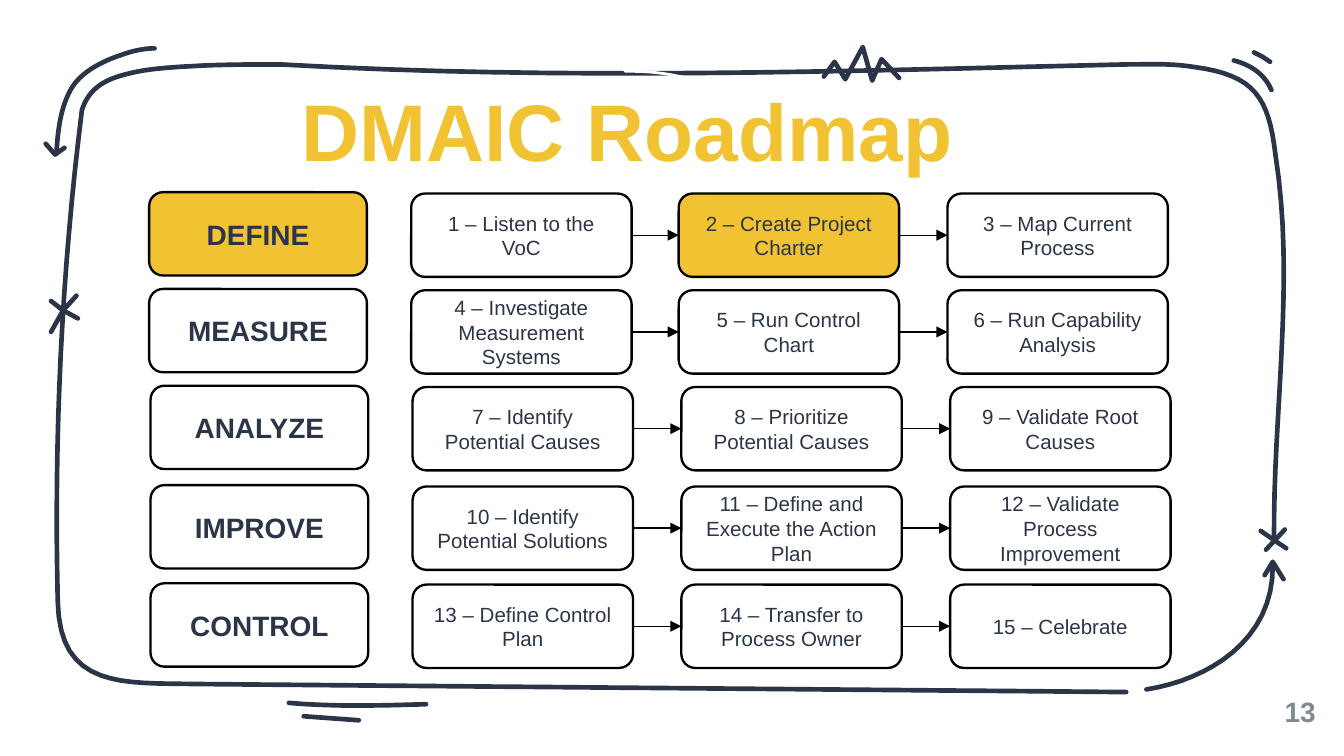
"""Build the DMAIC roadmap slide with its hand-drawn frame."""
from pptx import Presentation
from pptx.dml.color import RGBColor
from pptx.enum.shapes import MSO_CONNECTOR, MSO_SHAPE
from pptx.enum.text import MSO_ANCHOR, MSO_AUTO_SIZE, PP_ALIGN
from pptx.oxml.ns import qn
from pptx.oxml.xmlchemy import OxmlElement
from pptx.util import Pt

ROUNDED = MSO_SHAPE.ROUNDED_RECTANGLE
STRAIGHT = MSO_CONNECTOR.STRAIGHT
CENTER, RIGHT = PP_ALIGN.CENTER, PP_ALIGN.RIGHT
MIDDLE = MSO_ANCHOR.MIDDLE
NO_AUTOFIT = MSO_AUTO_SIZE.NONE

INK = RGBColor(0x2B, 0x35, 0x47)
GOLD = RGBColor(0xF1, 0xC2, 0x32)
GREY = RGBColor(0x7F, 0x8B, 0x91)
BLACK = RGBColor(0, 0, 0)
WHITE = RGBColor(0xFF, 0xFF, 0xFF)

FONT = "Arial"
PX = 9144
LEFT_SIDE, RIGHT_SIDE = 1, 3
STAGE_LEFT, STAGE_WIDTH = 111, 162
STEP_LEFTS = ((306, 505, 705), (307, 507, 707))
STEP_WIDTH, BOX_HEIGHT = 164, 62

ROADMAP = [
    (0, 144, "DEFINE", ["Listen to the VoC", "Create Project Charter", "Map Current Process"]),
    (0, 216, "MEASURE", ["Investigate Measurement Systems", "Run Control Chart",
                         "Run Capability Analysis"]),
    (1, 288, "ANALYZE", ["Identify Potential Causes", "Prioritize Potential Causes",
                         "Validate Root Causes"]),
    (1, 362, "IMPROVE", ["Identify Potential Solutions", "Define and Execute the Action Plan",
                         "Validate Process Improvement"]),
    (1, 435, "CONTROL", ["Define Control Plan", "Transfer to Process Owner", "Celebrate"]),
]
CURRENT_STAGE, CURRENT_STEP = "DEFINE", 2


def curve(*nodes, pieces=16):
    """Return points along a chain of cubic Bezier segments."""
    points = [nodes[0]]
    for first in range(0, len(nodes) - 1, 3):
        a, b, c, d = nodes[first:first + 4]
        for piece in range(1, pieces + 1):
            t = piece / pieces
            u = 1 - t
            points.append(tuple(
                u ** 3 * a[i] + 3 * u * u * t * b[i] + 3 * u * t * t * c[i] + t ** 3 * d[i]
                for i in (0, 1)))
    return points


FRAME = curve(
    (948, 402), (947, 307), (964, 210), (949, 115), (944, 73), (934, 56), (889, 50),
    (870, 47), (857, 48), (837, 48), (628, 53), (418, 60), (209, 48),
    (189, 48), (168, 48), (148, 49), (129, 50), (110, 51), (95, 55),
    (78, 59), (66, 66), (61, 82), (46, 201), (40, 325), (43, 447),
    (44, 513), (92, 508), (145, 509), (375, 511), (609, 513), (838, 515))
DOODLES = [
    [FRAME],
    [curve((215, 523), (249, 526), (283, 525), (317, 524))],
    [[(226, 533), (267, 536)]],
    [[(613, 57), (621, 46), (629, 59), (642, 35), (649, 60), (656, 44), (669, 58)]],
    [curve((946, 67), (941, 55), (930, 48), (918, 45))],
    [[(933, 39), (939, 42), (945, 46)]],
    [[(38, 224), (47, 231), (58, 237)], [(57, 220), (47, 231), (38, 247)]],
    [[(938, 395), (957, 408)], [(956, 394), (942, 409)]],
    [curve((853, 513), (898, 506), (948, 477), (947, 420)),
     [(941, 428), (947, 418), (955, 431)]],
    [curve((115, 36), (107, 36), (98, 38), (90, 41), (75, 46), (60, 54), (53, 66),
           (45, 80), (43, 97), (42, 114)),
     [(34, 107), (41, 115), (48, 110)]],
]
FRAME_GAP = [curve((465, 53), (480, 53), (495, 54), (510, 58))]


def write_text(frame, text, *, size, color=INK, bold=False, align=CENTER,
               margins=(0, 0), spacing=None):
    """Put one formatted paragraph in a text frame."""
    frame.word_wrap = True
    frame.auto_size = NO_AUTOFIT
    frame.vertical_anchor = MIDDLE
    frame.margin_left = frame.margin_right = margins[0] * PX
    frame.margin_top = frame.margin_bottom = margins[1] * PX
    paragraph = frame.paragraphs[0]
    paragraph.alignment = align
    if spacing:
        paragraph.line_spacing = spacing
    run = paragraph.add_run()
    run.text = text
    run.font.name = FONT
    run.font.size = Pt(size)
    run.font.bold = bold
    run.font.color.rgb = color


class Deck:
    """Hold the style and the current slide."""

    def __init__(self, width):
        """Start a 16:9 presentation with one title slide."""
        self.presentation = Presentation()
        self.presentation.slide_width = width * PX
        self.presentation.slide_height = width * PX * 9 // 16
        self.slide = self.presentation.slides.add_slide(self.presentation.slide_layouts[5])
        self.shapes = self.slide.shapes

    def title(self, text, left, top, width, height):
        """Move and fill the title placeholder."""
        heading = self.shapes.title
        heading.left, heading.top = left * PX, top * PX
        heading.width, heading.height = width * PX, height * PX
        write_text(heading.text_frame, text, size=43, color=GOLD, bold=True, spacing=0.9)

    def label(self, text, left, top, width, height, **style):
        """Add a text box."""
        box = self.shapes.add_textbox(left * PX, top * PX, width * PX, height * PX)
        write_text(box.text_frame, text, **style)

    def box(self, text, left, top, width, fill, **style):
        """Add a rounded box with centred text."""
        box = self.shapes.add_shape(ROUNDED, left * PX, top * PX, width * PX, BOX_HEIGHT * PX)
        box.shadow.inherit = False
        box.fill.solid()
        box.fill.fore_color.rgb = fill
        box.line.color.rgb = BLACK
        box.line.width = Pt(1.25)
        write_text(box.text_frame, text, margins=(10, 5), **style)
        return box

    def arrow(self, source, target):
        """Join two neighbouring boxes with an arrow."""
        link = self.shapes.add_connector(STRAIGHT, 0, 0, 0, 0)
        link.begin_connect(source, RIGHT_SIDE)
        link.end_connect(target, LEFT_SIDE)
        link.line.color.rgb = BLACK
        link.line.width = Pt(0.75)
        properties = link.element.spPr
        tip = OxmlElement("a:tailEnd")
        tip.set("type", "triangle")
        properties.find(qn("a:ln")).append(tip)
        properties.append(OxmlElement("a:effectLst"))

    def doodle(self, strokes, color=INK, weight=2.5):
        """Draw round-ended pen strokes as one freeform."""
        pen = None
        for stroke in strokes:
            start, *rest = [(x * PX, y * PX) for x, y in stroke]
            if pen is None:
                pen = self.shapes.build_freeform(*start)
            else:
                pen.move_to(*start)
            pen.add_line_segments(rest, close=False)
        drawing = pen.convert_to_shape()
        drawing.shadow.inherit = False
        drawing.fill.background()
        drawing.line.color.rgb = color
        drawing.line.width = Pt(weight)
        drawing.element.spPr.find(qn("a:ln")).set("cap", "rnd")


def main():
    """Compose and save the slide."""
    deck = Deck(1000)
    for strokes in DOODLES:
        deck.doodle(strokes)
    deck.doodle(FRAME_GAP, color=WHITE, weight=1.5)
    deck.label("13", 919, 513, 60, 33, size=15, color=GREY, bold=True, align=RIGHT)
    deck.title("DMAIC Roadmap", 115, 59, 703, 83)
    number = 0
    for shift, top, stage, steps in ROADMAP:
        deck.box(stage, STAGE_LEFT + shift, top - 1, STAGE_WIDTH,
                 GOLD if stage == CURRENT_STAGE else WHITE, size=15, bold=True)
        previous = None
        for left, step in zip(STEP_LEFTS[shift], steps):
            number += 1
            current = deck.box(f"{number} – {step}", left, top, STEP_WIDTH,
                               GOLD if number == CURRENT_STEP else WHITE, size=11)
            if previous is not None:
                deck.arrow(previous, current)
            previous = current
    deck.presentation.save("out.pptx")


if __name__ == "__main__":
    main()
